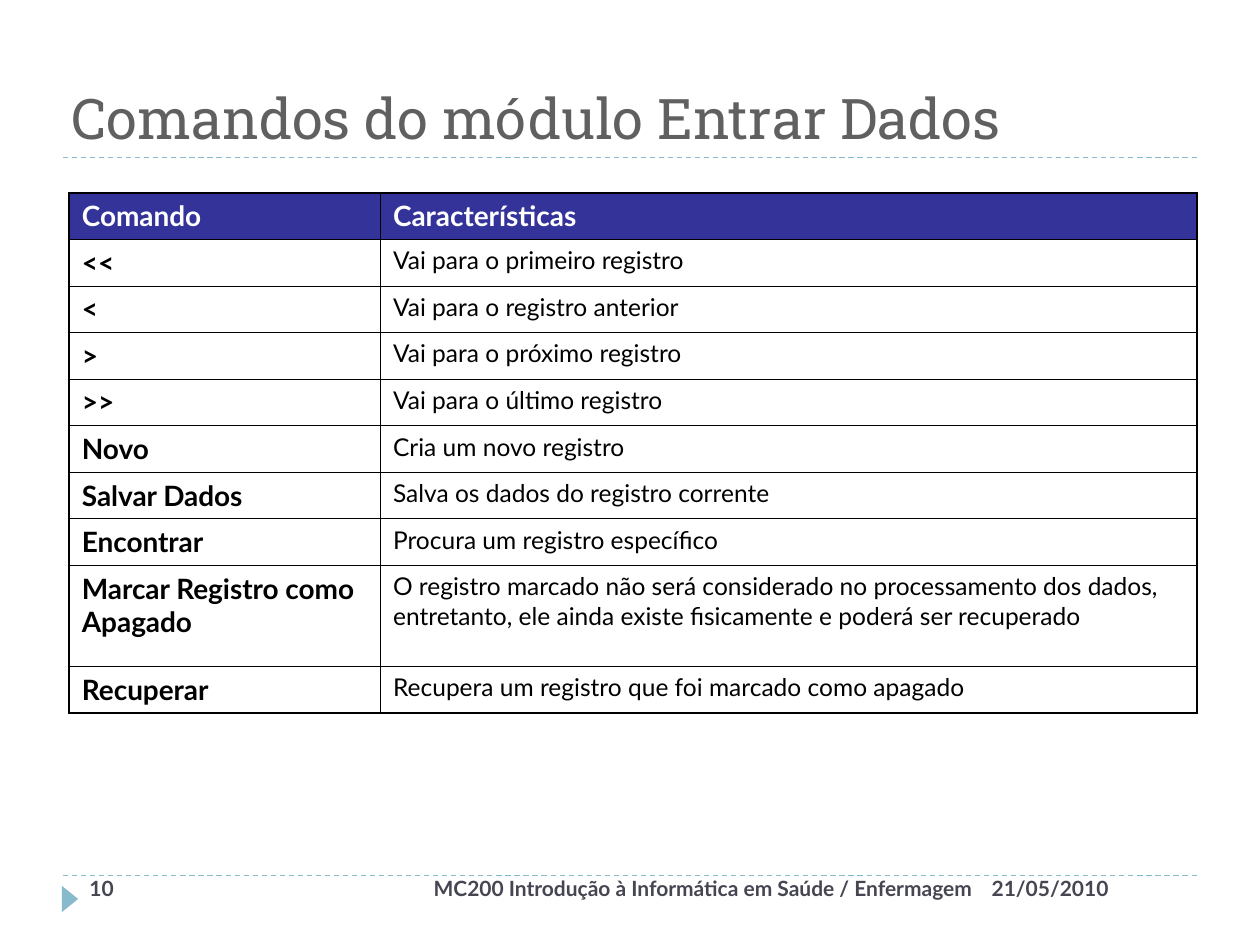
from pptx import Presentation
from pptx.dml.color import RGBColor
from pptx.enum.dml import MSO_LINE
from pptx.enum.shapes import MSO_CONNECTOR, MSO_SHAPE
from pptx.enum.text import MSO_ANCHOR, PP_ALIGN
from pptx.oxml.ns import qn
from pptx.util import Inches, Pt
from lxml.etree import SubElement

BODY, HEADING = "Lato", "Roboto Slab"
ACCENT, NAVY, BLACK, WHITE = "88BACD", "333399", "000000", "FFFFFF"
THICK, THIN = 1.08, 0.45
LEFT, RIGHT = 0.5, 9.5

ROWS = [
    ("Comando", "Características"),
    ("<<", "Vai para o primeiro registro"),
    ("<", "Vai para o registro anterior"),
    (">", "Vai para o próximo registro"),
    (">>", "Vai para o último registro"),
    ("Novo", "Cria um novo registro"),
    ("Salvar Dados", "Salva os dados do registro corrente"),
    ("Encontrar", "Procura um registro específico"),
    ("Marcar Registro como Apagado",
     "O registro marcado não será considerado no processamento dos dados, "
     "entretanto, ele ainda existe fisicamente e poderá ser recuperado"),
    ("Recuperar", "Recupera um registro que foi marcado como apagado"),
]
TALL_ROW = 8


def rgb(value):
    return RGBColor.from_string(value)


def write(tf, text, size, color, name=BODY, bold=False, align=PP_ALIGN.LEFT):
    p = tf.paragraphs[0]
    p.alignment = align
    r = p.add_run()
    r.text = text
    for key, value in dict(size=Pt(size), name=name, bold=bold).items():
        setattr(r.font, key, value)
    r.font.color.rgb = rgb(color)


def add_text(slide, box, text, insets, anchor=MSO_ANCHOR.TOP, **style):
    tf = slide.shapes.add_textbox(*map(Inches, box)).text_frame
    tf.word_wrap = True
    tf.vertical_anchor = anchor
    for side, inset in zip(("left", "top", "right", "bottom"), insets):
        setattr(tf, f"margin_{side}", Inches(inset))
    write(tf, text, **style)


def add_rule(slide, y):
    line = slide.shapes.add_connector(
        MSO_CONNECTOR.STRAIGHT, Inches(LEFT), Inches(y), Inches(RIGHT), Inches(y))
    line.line.color.rgb = rgb(ACCENT)
    line.line.width = Pt(0.75)
    line.line.dash_style = MSO_LINE.DASH
    SubElement(line._element.spPr, qn("a:effectLst"))


def add_title(slide, box):
    add_text(slide, box, "Comandos do módulo Entrar Dados", (0.1, 0.05, 0.14, 0.05),
             MSO_ANCHOR.MIDDLE, size=32, color="606060", name=HEADING)
    add_rule(slide, box[1] + box[3])


def set_borders(cell, widths):
    tc_pr = cell._tc.get_or_add_tcPr()
    for side, width in zip("LRTB", widths):
        ln = SubElement(tc_pr, qn(f"a:ln{side}"), w=str(int(Pt(width))))
        fill = SubElement(ln, qn("a:solidFill"))
        SubElement(fill, qn("a:srgbClr"), val=BLACK)


def add_command_table(slide, box, col_widths, row_height, tall_height):
    last = len(ROWS) - 1
    table = slide.shapes.add_table(len(ROWS), 2, *map(Inches, box)).table
    table.first_row = table.horz_banding = False
    for column, width in zip(table.columns, col_widths):
        column.width = Inches(width)
    for i, texts in enumerate(ROWS):
        table.rows[i].height = Inches(tall_height if i == TALL_ROW else row_height)
        for j, text in enumerate(texts):
            cell = table.cell(i, j)
            # Thick frame outside, thin grid inside
            outer = (j == 0, j == 1, i == 0, i == last)
            set_borders(cell, [THICK if edge else THIN for edge in outer])
            header = i == 0
            if header:
                cell.fill.solid()
                cell.fill.fore_color.rgb = rgb(NAVY)
            else:
                cell.fill.background()
            strong = header or j == 0
            write(cell.text_frame, text, 16 if strong else 14,
                  WHITE if header else BLACK, bold=strong)


def add_footer(slide, top, height):
    add_rule(slide, top)
    # Page marker pointing right
    sp = slide.shapes.add_shape(MSO_SHAPE.ISOSCELES_TRIANGLE, Inches(0.45),
                                Inches(top + 0.12), Inches(0.21), Inches(0.13))
    sp.rotation = 90
    sp.shadow.inherit = False
    sp.fill.solid()
    sp.fill.fore_color.rgb = rgb(ACCENT)
    sp.line.fill.background()
    # Date, course name and page number
    for left, width, text, align in (
            (7.83, 1.68, "21/05/2010", PP_ALIGN.LEFT),
            (2.5, 5.26, "MC200 Introdução à Informática em Saúde / Enfermagem",
             PP_ALIGN.RIGHT),
            (0.67, 1.68, "10", PP_ALIGN.LEFT)):
        inset = 0.04 if align == PP_ALIGN.LEFT else 0
        add_text(slide, (left, top, width, height), text, (inset, 0, 0.04, 0),
                 size=12, color="464653", bold=True, align=align)


def main():
    prs = Presentation()
    prs.slide_width, prs.slide_height = Inches(10), Inches(7.5)
    slide = prs.slides.add_slide(prs.slide_layouts[6])
    add_footer(slide, 6.95, 0.31)
    add_title(slide, (0.47, 0.61, 9, 0.64))
    add_command_table(slide, (0.55, 1.53, 8.95, 4.13), (2.47, 6.48), 0.37, 0.8)
    prs.save("out.pptx")


if __name__ == "__main__":
    main()
